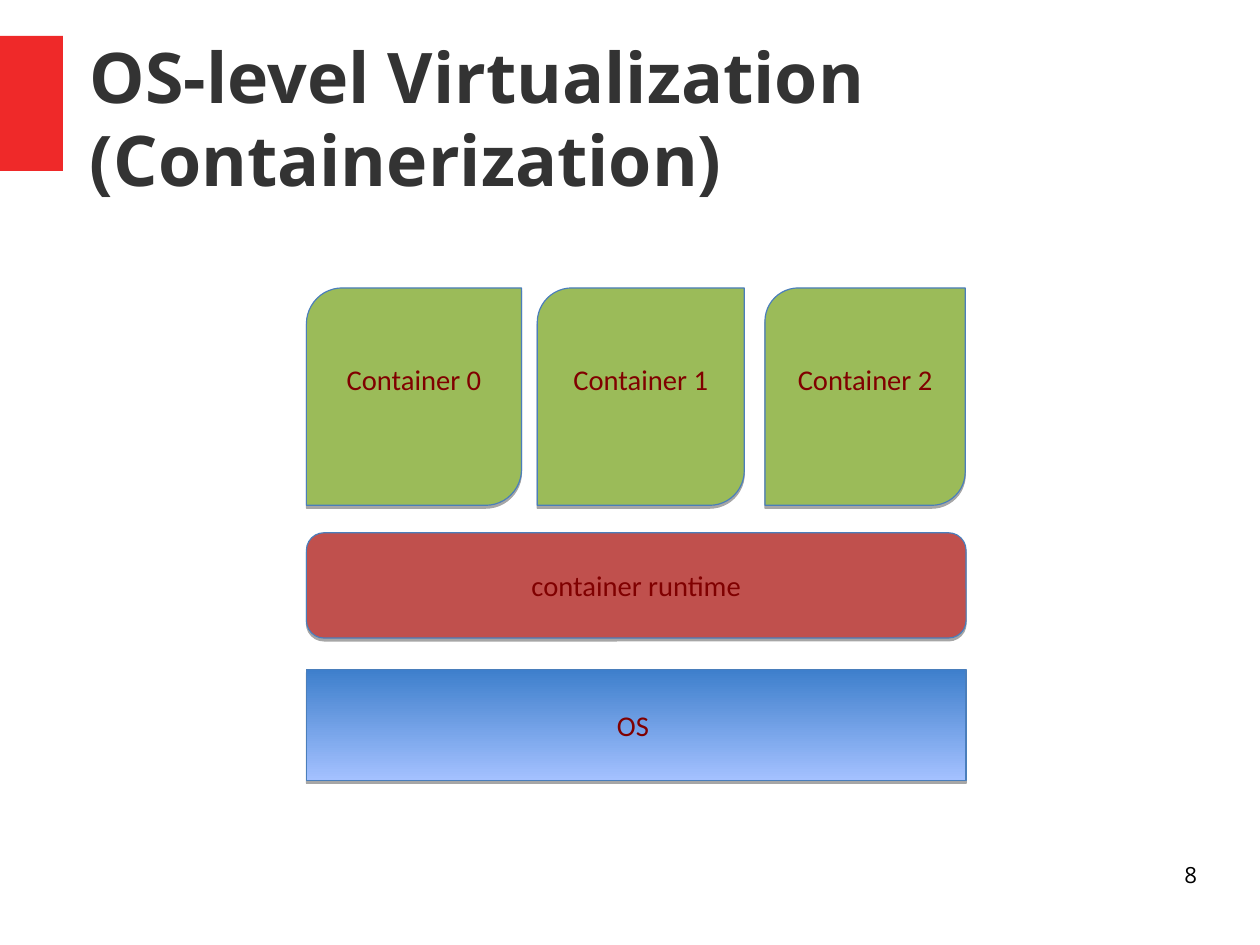
from dataclasses import dataclass

from lxml import etree
from pptx import Presentation
from pptx import util as u
from pptx.dml.color import RGBColor
from pptx.enum import shapes, text
from pptx.oxml.ns import qn

COLORS = {
    "accent": "EF2929", "title": "333333", "number": "000000",
    "label": "800000", "outline": "4A7EBB", "shadow": "000000",
    "container": "9BBB59", "runtime": "C0504D",
    "os_top": "3E7FCC", "os_bottom": "A4C1FF",
}
STACK_LEFT, STACK_WIDTH = 6.81, 14.66
CONTAINER_TOP, CONTAINER_HEIGHT = 6.4, 4.83
LABEL_LIFT = 0.77


@dataclass
class Block:
    label: str
    kind: shapes.MSO_SHAPE
    left: float
    top: float
    width: float
    height: float
    fills: tuple[str, ...]
    lift: float = 0


@dataclass
class Label:
    lines: tuple[str, ...]
    left: float
    top: float
    width: float
    height: float
    size: int
    color: str
    bold: bool
    align: text.PP_ALIGN
    anchor: text.MSO_ANCHOR


def rgb(name: str) -> RGBColor:
    return RGBColor.from_string(COLORS[name])


def add_run(p, content: str, font: str, size: int, color: str, bold: bool = False) -> None:
    r = p.add_run()
    r.text = content
    r.font.name = font
    r.font.size = u.Pt(size)
    r.font.bold = bold
    r.font.color.rgb = rgb(color)


def add_shadow(sp) -> None:
    effects = sp._element.spPr.find(qn("a:effectLst"))
    shadow = etree.SubElement(effects, qn("a:outerShdw"), blurRad="0", dist=str(u.Pt(1.8)),
                              dir="5400000", rotWithShape="0")
    color = etree.SubElement(shadow, qn("a:srgbClr"), val=COLORS["shadow"])
    etree.SubElement(color, qn("a:alpha"), val="35000")


def draw_block(s, b: Block) -> None:
    sp = s.shapes.add_shape(b.kind, u.Cm(b.left), u.Cm(b.top), u.Cm(b.width), u.Cm(b.height))
    sp.shadow.inherit = False
    add_shadow(sp)
    if len(b.fills) > 1:
        sp.fill.gradient()
        sp.fill.gradient_angle = 270
        for stop, name in zip(sp.fill.gradient_stops, b.fills):
            stop.color.rgb = rgb(name)
    else:
        sp.fill.solid()
        sp.fill.fore_color.rgb = rgb(b.fills[0])
    sp.line.color.rgb = rgb("outline")
    sp.line.width = u.Pt(0.75)
    tf = sp.text_frame
    tf.word_wrap = True
    tf.vertical_anchor = text.MSO_ANCHOR.MIDDLE
    tf.margin_bottom = u.Cm(0.13 + b.lift)
    p = tf.paragraphs[0]
    p.alignment = text.PP_ALIGN.CENTER
    add_run(p, b.label, "Calibri", 18, "label")


def draw_label(s, t: Label) -> None:
    tf = s.shapes.add_textbox(u.Cm(t.left), u.Cm(t.top), u.Cm(t.width), u.Cm(t.height)).text_frame
    tf.word_wrap = True
    tf.vertical_anchor = t.anchor
    tf.margin_left = tf.margin_right = tf.margin_top = tf.margin_bottom = 0
    p = tf.paragraphs[0]
    p.alignment = t.align
    for i, line in enumerate(t.lines):
        if i:
            p.add_line_break()
        add_run(p, line, "Open Sans", t.size, t.color, t.bold)


def draw_accent(s) -> None:
    sp = s.shapes.add_shape(shapes.MSO_SHAPE.RECTANGLE, 0, u.Cm(0.8), u.Cm(1.4), u.Cm(3))
    sp.shadow.inherit = False
    sp.fill.solid()
    sp.fill.fore_color.rgb = rgb("accent")
    sp.line.fill.background()


def main() -> None:
    prs = Presentation()
    prs.slide_width, prs.slide_height = u.Cm(28), u.Cm(21)
    s = prs.slides.add_slide(prs.slide_layouts[6])

    blocks = [
        Block("container runtime", shapes.MSO_SHAPE.ROUNDED_RECTANGLE,
              STACK_LEFT, 11.84, STACK_WIDTH, 2.34, ("runtime",)),
        Block("OS ", shapes.MSO_SHAPE.RECTANGLE,
              STACK_LEFT, 14.88, STACK_WIDTH, 2.46, ("os_top", "os_bottom")),
    ]
    columns = [(STACK_LEFT, 4.78), (11.94, 4.6), (17, 4.45)]
    blocks += [
        Block(f"Container {i}", shapes.MSO_SHAPE.ROUND_2_DIAG_RECTANGLE,
              left, CONTAINER_TOP, width, CONTAINER_HEIGHT, ("container",), LABEL_LIFT)
        for i, (left, width) in enumerate(columns)
    ]
    title = Label(("OS-level Virtualization", "(Containerization)"), 2, 0.3, 24.6, 4.6, 44,
                  "title", True, text.PP_ALIGN.LEFT, text.MSO_ANCHOR.MIDDLE)
    number = Label(("8",), 20.07, 19.13, 6.53, 1.45, 14,
                   "number", False, text.PP_ALIGN.RIGHT, text.MSO_ANCHOR.TOP)

    draw_accent(s)
    draw_label(s, title)
    for block in blocks:
        draw_block(s, block)
    draw_label(s, number)
    prs.save("out.pptx")


if __name__ == "__main__":
    main()
